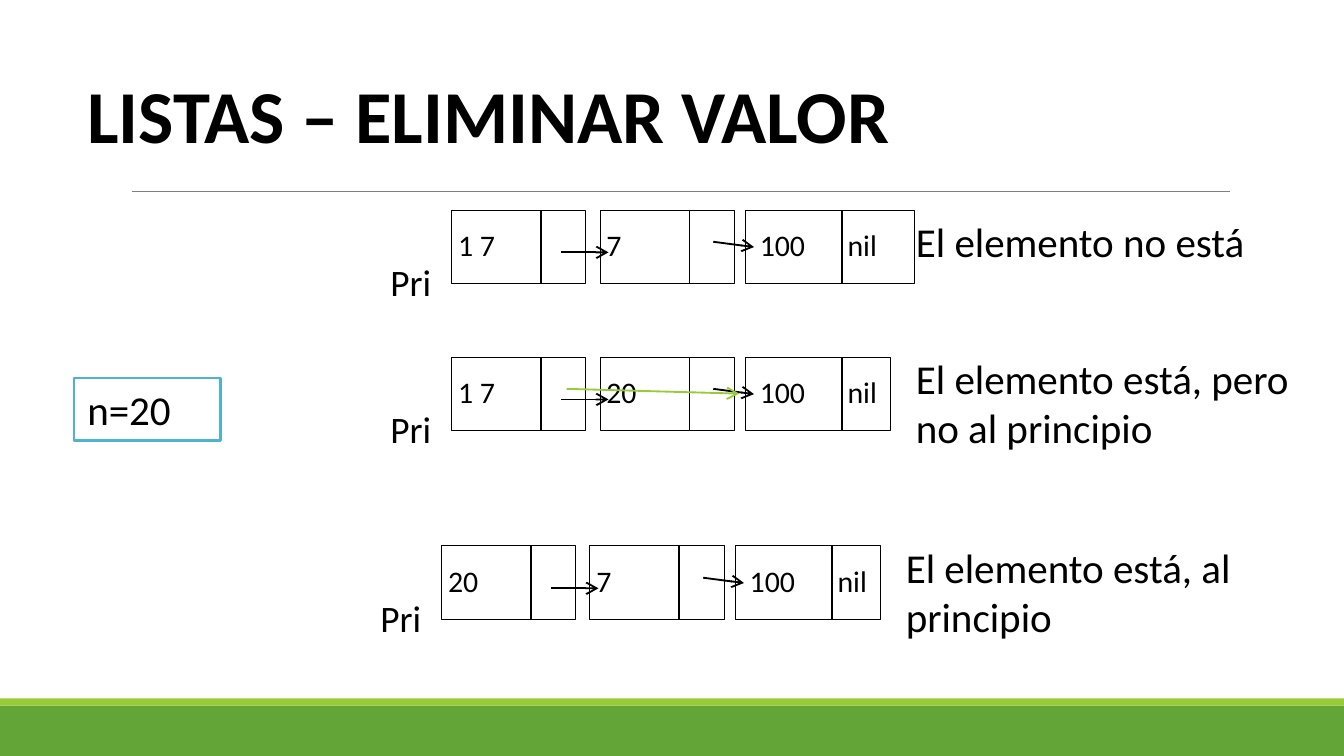
from lxml.etree import SubElement
from pptx import Presentation
from pptx.dml.color import RGBColor
from pptx.enum.shapes import MSO_CONNECTOR, MSO_SHAPE
from pptx.enum.text import MSO_ANCHOR, PP_ALIGN
from pptx.oxml.ns import qn
from pptx.util import Cm, Pt

BLACK = RGBColor(0x00, 0x00, 0x00)
WHITE = RGBColor(0xFF, 0xFF, 0xFF)
GRAY = RGBColor(0x7F, 0x7F, 0x7F)
GREEN = RGBColor(0x63, 0xA5, 0x37)
LIME = RGBColor(0x99, 0xCB, 0x38)
BLUE = RGBColor(0x4E, 0xB3, 0xCF)

FONT = "Calibri"
SLIDE_W, SLIDE_H = 25.4, 14.29
NODE_W, NODE_H = 2.54, 1.39
NODE_OFFSETS = (0, 2.81, 5.56)
DIVIDER_OFFSETS = (1.69, 4.5, 7.39)
# Offset from the start of the list, width and left inset of each cell's text
CELL_TEXTS = ((-0.79, 2.18, 0.92), (1.77, 2.59, 1.16),
              (5.44, 1.78, 0.39), (7.24, 1.35, 0.25))

# left, top, width of last node, values, caption, caption offset, caption height
LISTS = (
    (8.53, 3.97, 3.2, ("1 7", "7", "100"), "El elemento no está", 0, 1.19),
    (8.53, 6.75, 2.74, ("1 7", "20", "100"),
     "El elemento está, pero no al principio", -0.2, 2.13),
    (8.34, 10.32, 2.74, ("20", "7", "100"),
     "El elemento está, al principio", -0.2, 2.13),
)


def write(shape, text, size, inset=0.25):
    frame = shape.text_frame
    frame.word_wrap = True
    frame.vertical_anchor = MSO_ANCHOR.TOP
    frame.margin_left = Cm(inset)
    paragraph = frame.paragraphs[0]
    paragraph.text = text
    paragraph.alignment = PP_ALIGN.LEFT
    paragraph.font.name = FONT
    paragraph.font.size = Pt(size)
    paragraph.font.color.rgb = BLACK


def add_label(slide, text, left, top, width, height, size, inset=0.25):
    label = slide.shapes.add_textbox(Cm(left), Cm(top), Cm(width), Cm(height))
    write(label, text, size, inset)


def add_box(slide, left, top, width, height, fill=None, line=None, weight=0.5):
    box = slide.shapes.add_shape(MSO_SHAPE.RECTANGLE, Cm(left), Cm(top),
                                 Cm(width), Cm(height))
    box.shadow.inherit = False
    if fill is None:
        box.fill.background()
    else:
        box.fill.solid()
        box.fill.fore_color.rgb = fill
    if line is None:
        box.line.fill.background()
    else:
        box.line.color.rgb = line
        box.line.width = Pt(weight)
    return box


def add_line(slide, x1, y1, x2, y2, color=BLACK, weight=1, arrow=False):
    line = slide.shapes.add_connector(MSO_CONNECTOR.STRAIGHT, Cm(x1), Cm(y1),
                                      Cm(x2), Cm(y2))
    line.line.color.rgb = color
    line.line.width = Pt(weight)
    if arrow:
        SubElement(line.line._get_or_add_ln(), qn("a:tailEnd"), type="arrow")
    SubElement(line._element.spPr, qn("a:effectLst"))


def add_title(slide, text):
    title = slide.shapes.title
    title.left, title.top, title.width, title.height = (
        Cm(1.4), Cm(0.33), Cm(23.7), Cm(2.79))
    write(title, text, 40)
    title.text_frame.vertical_anchor = MSO_ANCHOR.BOTTOM
    paragraph = title.text_frame.paragraphs[0]
    paragraph.line_spacing = 0.85
    paragraph.font.bold = True


def add_linked_list(slide, left, top, last_width, values, caption,
                    caption_offset, caption_height):
    """Draw three linked nodes with their first pointer and a caption."""
    widths = (NODE_W, NODE_W, last_width)
    for node, divider, width in zip(NODE_OFFSETS, DIVIDER_OFFSETS, widths):
        add_box(slide, left + node, top, width, NODE_H, line=BLACK)
        add_line(slide, left + divider, top, left + divider, top + NODE_H)
    for text, (offset, width, inset) in zip((*values, "nil"), CELL_TEXTS):
        add_label(slide, text, left + offset, top + 0.19, width, 0.99, 16, inset)
    add_line(slide, left + 2.08, top + 0.8, left + 2.97, top + 0.8, arrow=True)
    add_line(slide, left + 4.95, top + 0.6, left + 5.72, top + 0.7, arrow=True)
    add_label(slide, "Pri", left - 1.4, top + 0.81, 1.58, 1.4, 20)
    add_label(slide, caption, left + 8.53, top + caption_offset, 7.93,
              caption_height, 22)


def main():
    prs = Presentation()
    prs.slide_width, prs.slide_height = Cm(SLIDE_W), Cm(SLIDE_H)
    slide = prs.slides.add_slide(prs.slide_layouts[5])

    add_box(slide, 0, 13.34, SLIDE_W, SLIDE_H - 13.34, fill=GREEN)
    add_box(slide, 0, 13.2, SLIDE_W, 0.14, fill=LIME)
    add_line(slide, 2.49, 3.62, 23.24, 3.62, GRAY, 0.5)
    add_title(slide, "LISTAS – ELIMINAR VALOR")

    target = add_box(slide, 1.4, 7.14, 2.77, 1.19, WHITE, BLUE, 1.25)
    write(target, "n=20", 22)

    for linked_list in LISTS:
        add_linked_list(slide, *linked_list)

    left, top = LISTS[1][:2]
    add_line(slide, left + 2.18, top + 0.6, left + 5.44, top + 0.69, LIME,
             arrow=True)
    prs.save("out.pptx")


if __name__ == "__main__":
    main()
